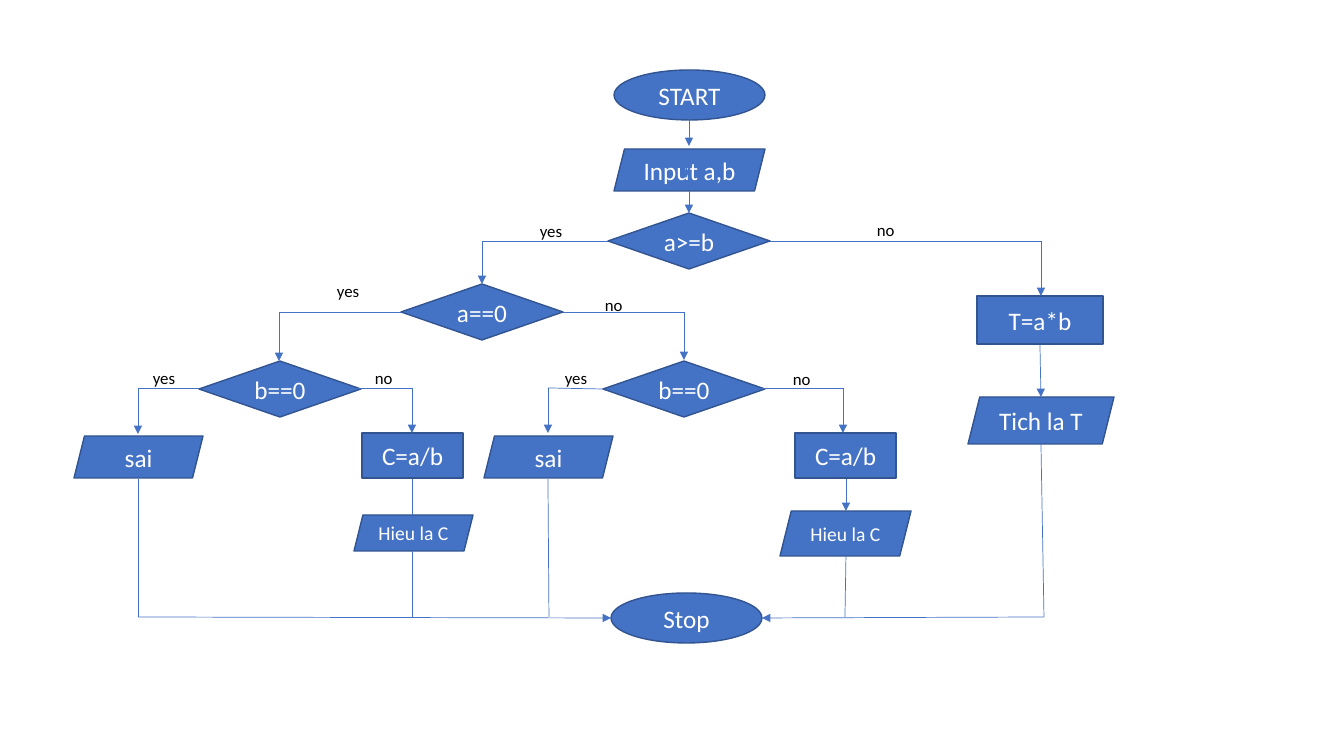
from itertools import pairwise
from lxml.etree import SubElement
from pptx import Presentation
from pptx.dml.color import RGBColor
from pptx.enum.shapes import MSO_CONNECTOR, MSO_SHAPE
from pptx.enum.text import MSO_ANCHOR, MSO_AUTO_SIZE, PP_ALIGN
from pptx.oxml.ns import qn
from pptx.util import Emu, Pt

THEME = {
    "font": "Calibri", "fill": "4472C4", "edge": "325491",
    "light": "FFFFFF", "dark": "000000",
    "node": 18, "small": 14, "label": 12, "border": 1, "flow": 0.5,
}

# Nodes: text, left, top, width, height, type size
OVAL = (151, 50, "node")
TEST = (162, 56, "node")
CALC = (101, 45, "node")
WRONG = (129, 42, "node")
NODES = {
    MSO_SHAPE.OVAL: [
        ("START", 614, 70, *OVAL),
        ("Stop", 611, 593, *OVAL),
    ],
    MSO_SHAPE.DIAMOND: [
        ("a>=b", 608, 213, *TEST),
        ("a==0", 401, 284, *TEST),
        ("b==0", 199, 361, *TEST),
        ("b==0", 603, 361, *TEST),
    ],
    MSO_SHAPE.RECTANGLE: [
        ("C=a/b", 362, 433, *CALC),
        ("C=a/b", 795, 433, *CALC),
        ("T=a*b", 977, 296, 126, 48, "node"),
    ],
    MSO_SHAPE.PARALLELOGRAM: [
        ("Input a,b", 614, 149, 151, 42, "node"),
        ("sai", 74, 436, *WRONG),
        ("sai", 484, 436, *WRONG),
        ("Hieu la C", 354, 515, 119, 36, "small"),
        ("Hieu la C", 780, 511, 131, 45, "small"),
        ("Tich la T", 968, 397, 146, 47, "node"),
    ],
}

# Branch labels: text, left, top
LABELS = [
    ("yes", 530, 216), ("no", 867, 215),
    ("yes", 327, 276), ("no", 595, 290),
    ("yes", 143, 363), ("no", 365, 363),
    ("yes", 555, 363), ("no", 783, 364),
]

# Flows: corner points; an arrow ends on its last point
ARROWS = [
    [(689, 120), (689, 146)],
    [(686, 155), (686, 178)],
    [(689, 191), (689, 213)],
    [(608, 241), (482, 241), (482, 284)],
    [(770, 241), (1041, 241), (1041, 296)],
    [(401, 312), (279, 312), (279, 361)],
    [(563, 312), (684, 312), (684, 360)],
    [(199, 388), (138, 388), (138, 434)],
    [(356, 388), (412, 388), (412, 433)],
    [(603, 389), (548, 388), (548, 433)],
    [(761, 388), (843, 388), (843, 433)],
    [(846, 479), (846, 511)],
    [(1040, 345), (1041, 397)],
    [(138, 479), (138, 617), (611, 618)],
    [(1041, 444), (1044, 617), (762, 618)],
]
PLAIN = [
    [(412, 479), (412, 515)],
    [(412, 551), (412, 617)],
    [(548, 479), (549, 617)],
    [(846, 556), (845, 617)],
]


def px(*vals):
    return [Emu(round(v * 914400 / 100.8)) for v in vals]


def tint(name):
    return RGBColor.from_string(THEME[name])


def write(shape, text, size, color):
    para = shape.text_frame.paragraphs[0]
    para.text = text
    font = para.runs[0].font
    font.name, font.size = THEME["font"], Pt(THEME[size])
    font.color.rgb = tint(color)
    return para


def node(kind, text, left, top, wide, high, size):
    shape = slide.shapes.add_shape(kind, *px(left, top, wide, high))
    shape.shadow.inherit = False
    shape.fill.solid()
    shape.fill.fore_color.rgb = tint("fill")
    shape.line.color.rgb = tint("edge")
    shape.line.width = Pt(THEME["border"])
    shape.text_frame.vertical_anchor = MSO_ANCHOR.MIDDLE
    write(shape, text, size, "light").alignment = PP_ALIGN.CENTER


def label(text, left, top):
    box = slide.shapes.add_textbox(*px(left, top, 57, 30))
    box.text_frame.word_wrap = True
    box.text_frame.auto_size = MSO_AUTO_SIZE.SHAPE_TO_FIT_TEXT
    write(box, text, "label", "dark")


def flow(points, arrow):
    for start, end in pairwise(points):
        link = slide.shapes.add_connector(
            MSO_CONNECTOR.STRAIGHT, *px(*start, *end))
        link.line.color.rgb = tint("fill")
        link.line.width = Pt(THEME["flow"])
        props = link._element.spPr
        SubElement(props, qn("a:effectLst"))
        if arrow and end == points[-1]:
            SubElement(props.find(qn("a:ln")), qn("a:tailEnd"), type="triangle")


deck = Presentation()
deck.slide_width, deck.slide_height = px(1344, 756)
slide = deck.slides.add_slide(deck.slide_layouts[6])

for kind, rows in NODES.items():
    for row in rows:
        node(kind, *row)
for row in LABELS:
    label(*row)
for arrow, paths in ((True, ARROWS), (False, PLAIN)):
    for points in paths:
        flow(points, arrow)

deck.save("out.pptx")
